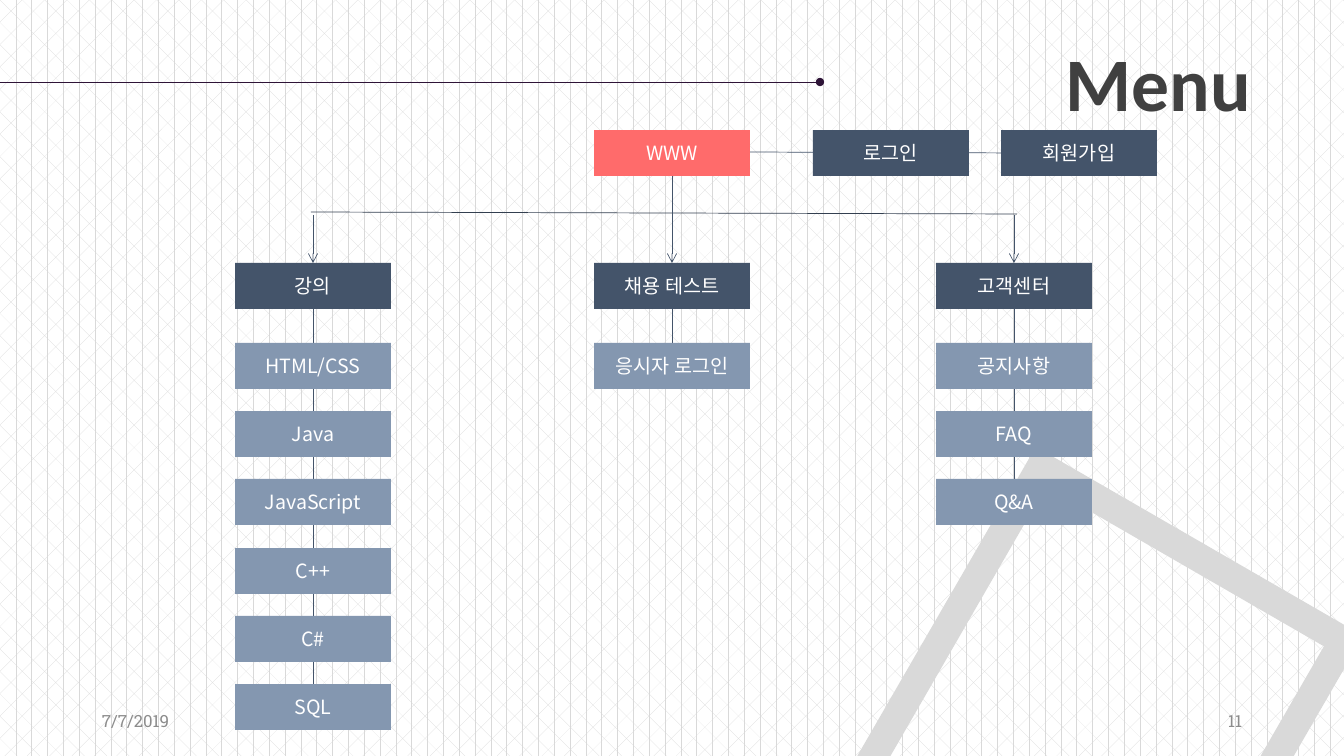
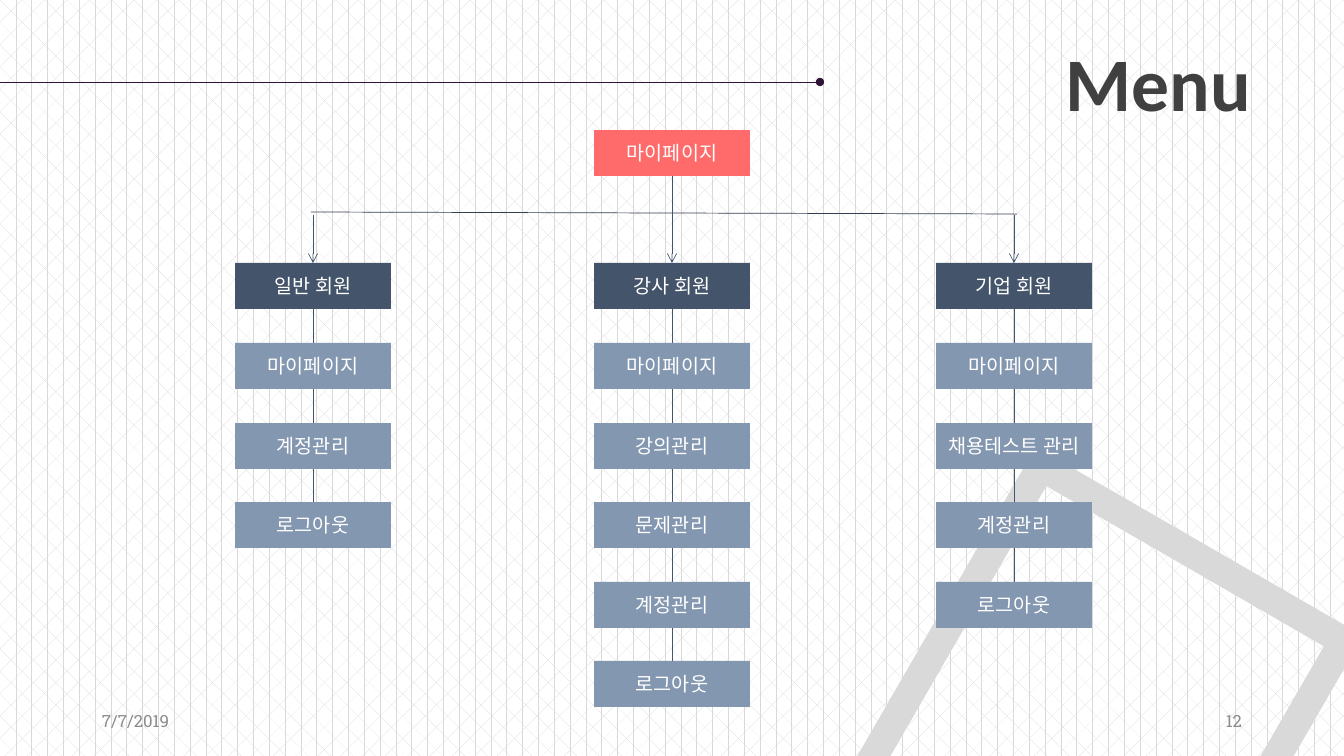
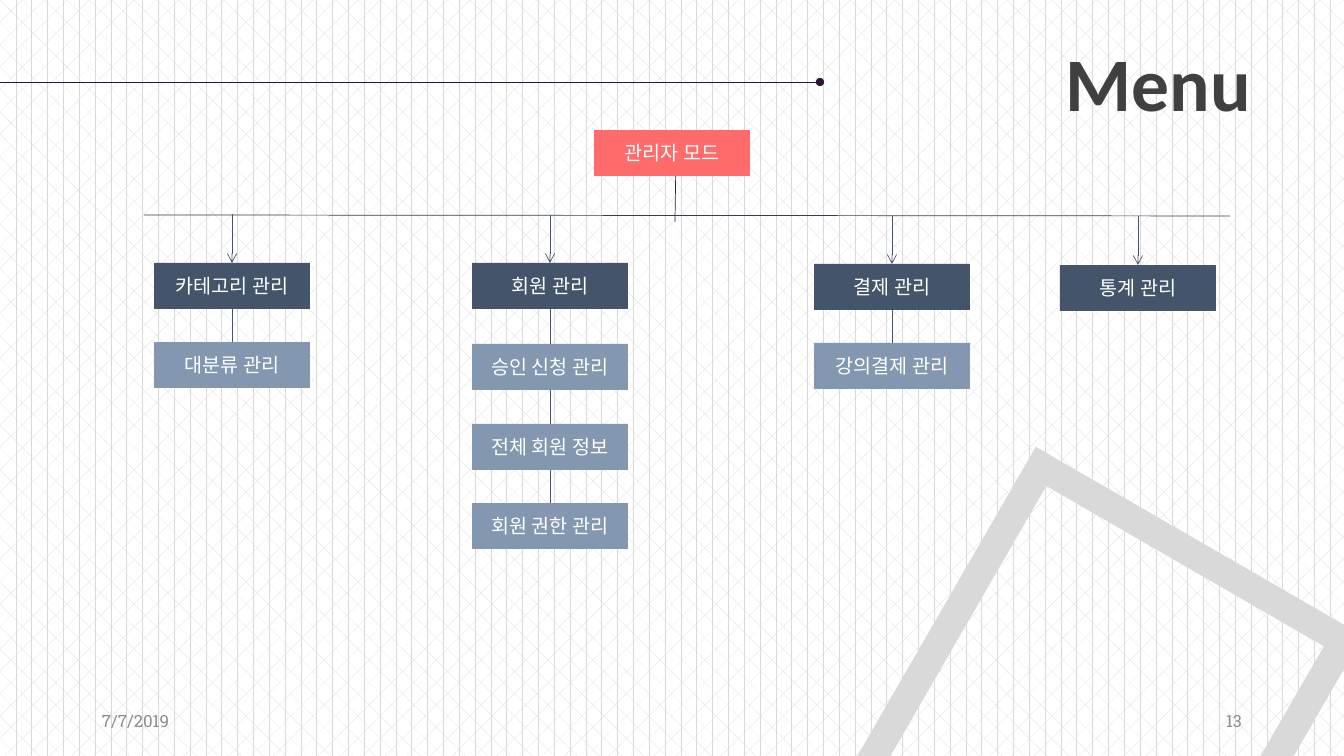
import pptx
import pptx.util
import pptx.dml.color
import pptx.enum.dml
import pptx.enum.shapes
import pptx.enum.text
import pptx.oxml.ns
import lxml.etree

RGB = pptx.dml.color.RGBColor
SHAPE = pptx.enum.shapes.MSO_SHAPE
ALIGN = pptx.enum.text.PP_ALIGN
ANCHOR = pptx.enum.text.MSO_ANCHOR
qn = pptx.oxml.ns.qn

WHITE = RGB(0xFF, 0xFF, 0xFF)
LIGHT_GREY = RGB(0xD9, 0xD9, 0xD9)
FOOTER_GREY = RGB(0x8C, 0x8C, 0x8C)
TITLE_GREY = RGB(0x40, 0x40, 0x40)
CORAL = RGB(0xFF, 0x6B, 0x6B)
NAVY = RGB(0x44, 0x54, 0x6A)
SLATE = RGB(0x84, 0x97, 0xB0)
RAIL = RGB(0x33, 0x3F, 0x50)
STEM = RGB(0x22, 0x2A, 0x35)
PLUM = RGB(0x2E, 0x14, 0x37)

BODY_FONT = "Noto Sans CJK KR"
TITLE_FONT = "Calibri"
FOOTER_FONT = "Roboto Slab"

BOX_WIDTH, BOX_HEIGHT = 156, 46
ROOT_LEFT, ROOT_TOP = 594, 130
HEADER_TOP, ITEM_TOP = 263, 343
ROOT_BOTTOM = ROOT_TOP + BOX_HEIGHT


def px(length):
    """Convert pixels, 100.8 to the inch, to EMU."""
    return pptx.util.Emu(round(round(length) * 914400 / 100.8))


class MenuDeck:
    def __init__(self):
        self.deck = pptx.Presentation()
        self.deck.slide_width, self.deck.slide_height = px(1344), px(756)
        self.page = None
        fill = self.deck.slide_master.background.fill
        fill.patterned()
        fill.pattern = pptx.enum.dml.MSO_PATTERN.DIVOT
        fill.fore_color.rgb = LIGHT_GREY
        fill.back_color.rgb = WHITE

    def new_page(self, title, number):
        self.page = self.deck.slides.add_slide(self.deck.slide_layouts[5])
        frame = self.shape(SHAPE.FRAME, 916, 516, 378, 378, LIGHT_GREY)
        frame.rotation = 30
        frame.adjustments[0] = 0.076
        self.line(0, 82, 820, 82, PLUM, "oval")
        self.title(title)
        self.footer(92, "7/7/2019", ALIGN.LEFT)
        self.footer(950, str(number), ALIGN.RIGHT)

    def add_text(self, box, text, size, font, color, align, anchor, bold=False):
        frame = box.text_frame
        frame.word_wrap = True
        frame.auto_size = pptx.enum.text.MSO_AUTO_SIZE.NONE
        frame.vertical_anchor = anchor
        para = frame.paragraphs[0]
        para.alignment = align
        span = para.add_run()
        span.text = text
        span.font.size = pptx.util.Pt(size)
        span.font.bold = bold
        span.font.color.rgb = color
        span.font.name = font
        for latin in box.element.iter(qn("a:latin")):
            lxml.etree.SubElement(latin.getparent(), qn("a:ea"), typeface=font)

    def title(self, text):
        box = self.page.shapes.title
        box.left, box.top, box.width, box.height = px(92), px(36), px(1159), px(92)
        frame = box.text_frame
        frame.margin_left = frame.margin_right = 0
        frame.margin_top = frame.margin_bottom = 0
        self.add_text(box, text, 54, TITLE_FONT, TITLE_GREY, ALIGN.RIGHT, ANCHOR.TOP, True)

    def footer(self, left, text, align):
        box = self.page.shapes.add_textbox(px(left), px(701), px(302), px(40))
        self.add_text(box, text, 12, FOOTER_FONT, FOOTER_GREY, align, ANCHOR.MIDDLE)

    def shape(self, kind, left, top, width, height, color):
        shape = self.page.shapes.add_shape(kind, px(left), px(top), px(width), px(height))
        shape.shadow.inherit = False
        shape.fill.solid()
        shape.fill.fore_color.rgb = color
        shape.line.fill.background()
        return shape

    def box(self, left, top, text, color):
        box = self.shape(SHAPE.RECTANGLE, left, top, BOX_WIDTH, BOX_HEIGHT, color)
        self.add_text(box, text, 14, BODY_FONT, WHITE, ALIGN.CENTER, ANCHOR.MIDDLE)

    def line(self, x1, y1, x2, y2, color=NAVY, head=None):
        line = self.page.shapes.add_connector(
            pptx.enum.shapes.MSO_CONNECTOR.STRAIGHT, px(x1), px(y1), px(x2), px(y2))
        line.line.color.rgb = color
        line.line.width = pptx.util.Pt(0.5)
        properties = line.element.spPr
        if head:
            lxml.etree.SubElement(properties.find(qn("a:ln")), qn("a:tailEnd"), type=head)
        lxml.etree.SubElement(properties, qn("a:effectLst"))

    def root(self, text):
        self.box(ROOT_LEFT, ROOT_TOP, text, CORAL)

    def branch(self, left, header, items, pitch=79.6, start=215, top=HEADER_TOP, first=ITEM_TOP):
        """Draw an arrow to a header box and the items strung below it."""
        center = left + BOX_WIDTH // 2
        self.line(center, start, center, top, head="arrow")
        tops = [first + index * pitch for index in range(len(items))]
        if items:
            self.line(center, top + BOX_HEIGHT, center, tops[-1] + 30, head="arrow")
        self.box(left, top, header, NAVY)
        for item_top, item in zip(tops, items):
            self.box(left, item_top, item, SLATE)

    def three_branches(self, branches, pitch):
        self.line(311, 212, 1017, 214, RAIL)
        starts = (215, ROOT_BOTTOM, 215)
        for left, start, (header, items) in zip((235, ROOT_LEFT, 936), starts, branches):
            self.branch(left, header, items, pitch, start)


def main():
    menu = MenuDeck()

    menu.new_page("Menu", 11)
    menu.line(746, 152, 1020, 153, head="arrow")
    menu.root("WWW")
    menu.box(813, ROOT_TOP, "로그인", NAVY)
    menu.box(1001, ROOT_TOP, "회원가입", NAVY)
    menu.three_branches([
        ("강의", ["HTML/CSS", "Java", "JavaScript", "C++", "C#", "SQL"]),
        ("채용 테스트", ["응시자 로그인"]),
        ("고객센터", ["공지사항", "FAQ", "Q&A"]),
    ], 68.2)

    menu.new_page("Menu", 12)
    menu.root("마이페이지")
    menu.three_branches([
        ("일반 회원", ["마이페이지", "계정관리", "로그아웃"]),
        ("강사 회원", ["마이페이지", "강의관리", "문제관리", "계정관리", "로그아웃"]),
        ("기업 회원", ["마이페이지", "채용테스트 관리", "계정관리", "로그아웃"]),
    ], 79.6)

    menu.new_page("Menu", 13)
    menu.line(676, 156, 675, 222, STEM)
    menu.root("관리자 모드")
    menu.line(144, 215, 1230, 216, RAIL)
    menu.branch(154, "카테고리 관리", ["대분류 관리"], start=214, first=342)
    menu.branch(472, "회원 관리", ["승인 신청 관리", "전체 회원 정보", "회원 권한 관리"], first=344)
    menu.branch(814, "결제 관리", ["강의결제 관리"], start=216, top=264)
    menu.branch(1060, "통계 관리", [], start=216, top=265)

    menu.deck.save("out.pptx")


if __name__ == "__main__":
    main()
